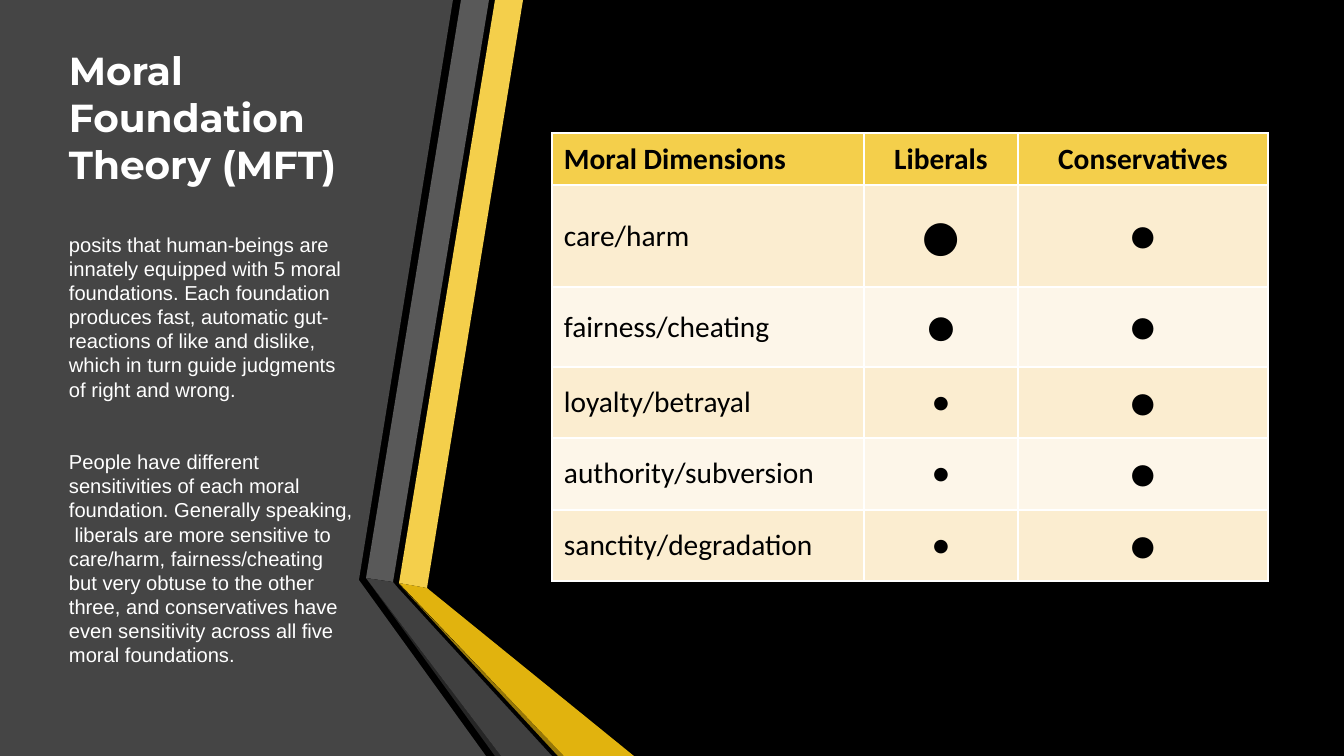
from pptx import Presentation
from pptx.dml.color import RGBColor
from pptx.enum.text import MSO_ANCHOR, PP_ALIGN
from pptx.util import Pt

PX = 914400 / 100.8
MIDDLE = MSO_ANCHOR.MIDDLE
LEFT, CENTER = PP_ALIGN.LEFT, PP_ALIGN.CENTER

TITLE = "Moral Foundation Theory (MFT)"
THEORY = ("posits that human-beings are innately equipped with 5 moral foundations. "
          "Each foundation produces fast, automatic gut-reactions of like and dislike, "
          "which in turn guide judgments of right and wrong.")
SENSITIVITY = ("People have different sensitivities of each moral foundation. "
               "Generally speaking,  liberals are more sensitive to care/harm, "
               "fairness/cheating but very obtuse to the other three, and conservatives "
               "have even sensitivity across all five moral foundations.")

# fill, corners in px
RIBBONS = [
    ("454545", [(0, 0), (453, 0), (359, 580), (486, 756), (0, 756)]),
    ("F4CF4B", [(399, 583), (427, 588), (523, 0), (495, 0)]),
    ("595959", [(489, 0), (461, 0), (366, 578), (393, 582)]),
    ("262626", [(366, 578), (495, 756), (501, 756)]),
    ("967709", [(399, 584), (558, 756), (564, 756)]),
    ("E1B30E", [(399, 583), (564, 756), (634, 756), (427, 588)]),
    ("404040", [(552, 756), (398, 588), (393, 582), (366, 578), (501, 756)]),
]

HEADINGS = ["Moral Dimensions", "Liberals", "Conservatives"]
COLUMN_WIDTHS = [312, 154, 250]
HEADING_HEIGHT = 52
# dimension, row height, dot size for liberals, dot size for conservatives
DIMENSIONS = [
    ("care/harm", 102, 51, 33),
    ("fairness/cheating", 80, 37, 33),
    ("loyalty/betrayal", 71, 21, 33),
    ("authority/subversion", 72, 21, 33),
    ("sanctity/degradation", 71, 21, 33),
]


def px(n):
    return round(n * PX)


def rgb(color):
    return RGBColor.from_string(color)


def set_font(p, name, size, color, bold=False):
    font = p.font
    font.name, font.size, font.bold = name, Pt(size), bold
    font.color.rgb = rgb(color)


def add_ribbons(s, x, y):
    for color, corners in RIBBONS:
        points = [(x + cx, y + cy) for cx, cy in corners]
        builder = s.shapes.build_freeform(*points[0], scale=PX)
        builder.add_line_segments(points[1:], close=True)
        sp = builder.convert_to_shape()
        sp.shadow.inherit = False
        sp.fill.solid()
        sp.fill.fore_color.rgb = rgb(color)
        sp.line.fill.background()


def add_explanation(s, x, y, w, h):
    tf = s.shapes.add_textbox(px(x), px(y), px(w), px(h)).text_frame
    tf.word_wrap = True
    tf.vertical_anchor = MIDDLE
    tf.margin_left = tf.margin_right = px(10)
    tf.margin_top = tf.margin_bottom = px(5)
    # text, font, size, bold, line height, space before
    paragraphs = [
        (TITLE, "Montserrat", 27.9, True, 33.6, 0),
        (THEORY, "Arial", 14.4, False, 17.25, 32),
        (SENSITIVITY, "Arial", 14.4, False, 17.25, 34.5),
    ]
    for i, (text, name, size, bold, line, before) in enumerate(paragraphs):
        p = tf.add_paragraph() if i else tf.paragraphs[0]
        p.text = text
        p.line_spacing, p.space_before = Pt(line), Pt(before)
        set_font(p, name, size, "FFFFFF", bold)


def fill_cell(cell, text, size, color, align, bold):
    cell.fill.solid()
    cell.fill.fore_color.rgb = rgb(color)
    cell.vertical_anchor = MIDDLE
    cell.margin_left = cell.margin_right = px(12)
    cell.margin_top = cell.margin_bottom = px(6)
    p = cell.text_frame.paragraphs[0]
    p.text = text
    p.alignment = align
    set_font(p, "Calibri", size, "000000", bold)


def add_dimension_table(s, x, y):
    heights = [HEADING_HEIGHT] + [row[1] for row in DIMENSIONS]
    table = s.shapes.add_table(len(heights), len(COLUMN_WIDTHS), px(x), px(y),
                               px(sum(COLUMN_WIDTHS)), px(sum(heights))).table
    for column, width in zip(table.columns, COLUMN_WIDTHS):
        column.width = px(width)
    for row, height in zip(table.rows, heights):
        row.height = px(height)
    rows = [[(heading, 21) for heading in HEADINGS]]
    rows += [[(name, 21), ("●", liberal), ("●", conservative)]
             for name, _, liberal, conservative in DIMENSIONS]
    for r, cells in enumerate(rows):
        color = "F4CF4B" if r == 0 else "FBEDD0" if r % 2 else "FDF6E9"
        for c, (text, size) in enumerate(cells):
            fill_cell(table.cell(r, c), text, size, color,
                      CENTER if c else LEFT, r == 0)


def main():
    prs = Presentation()
    prs.slide_width, prs.slide_height = px(1344), px(756)
    s = prs.slides.add_slide(prs.slide_layouts[6])
    s.background.fill.solid()
    s.background.fill.fore_color.rgb = rgb("000000")
    add_ribbons(s, 0, 0)
    add_explanation(s, 59, 75, 307, 563)
    add_dimension_table(s, 552, 133)
    prs.save("out.pptx")


if __name__ == "__main__":
    main()
